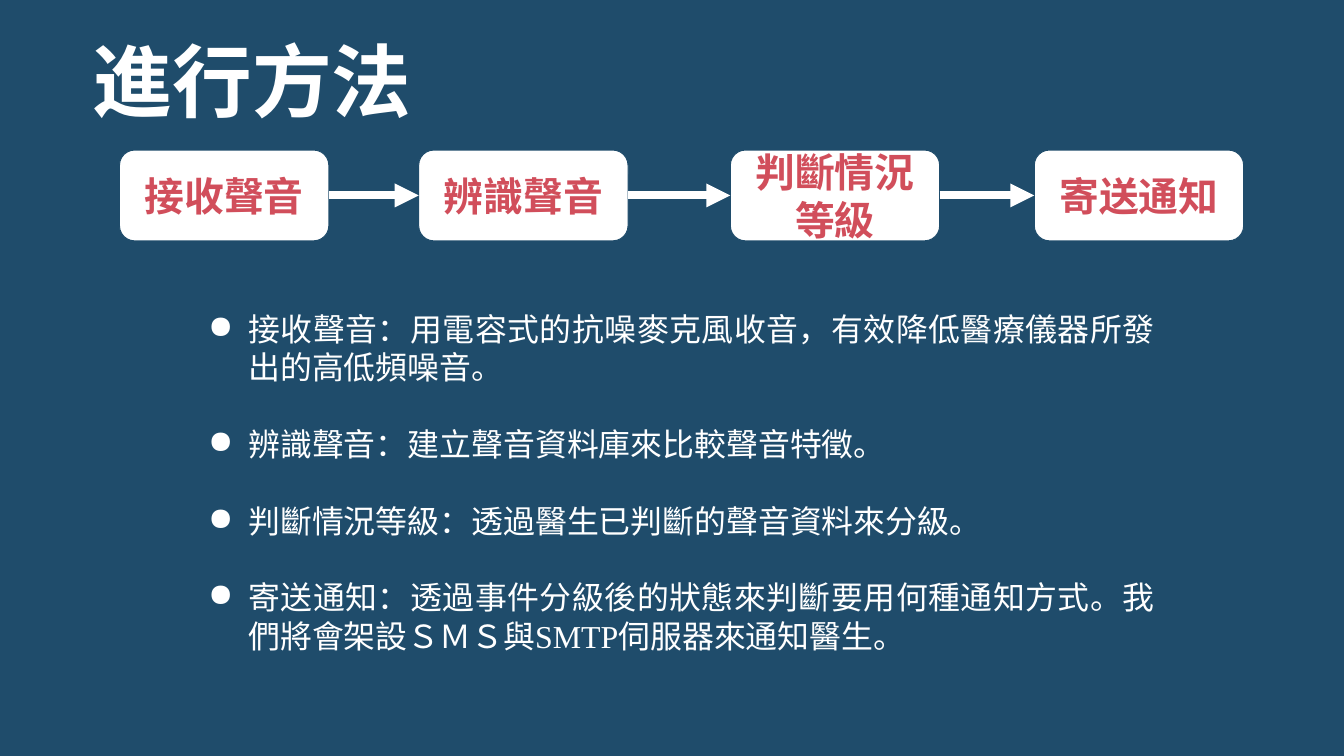
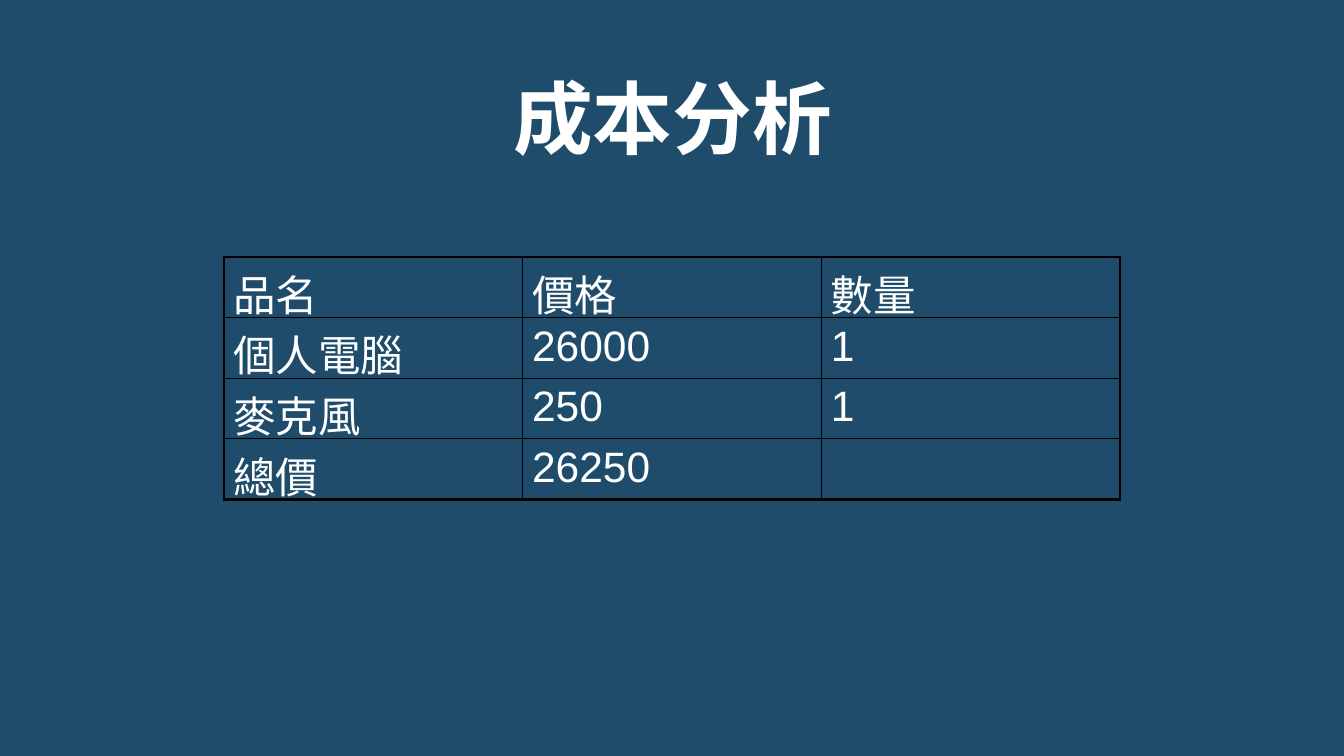
from lxml import etree
from pptx import Presentation
from pptx.dml.color import RGBColor
from pptx.enum.shapes import MSO_CONNECTOR, MSO_SHAPE
from pptx.enum.text import MSO_ANCHOR, PP_ALIGN
from pptx.oxml.ns import qn
from pptx.util import Inches, Pt

NAVY = RGBColor(0x1F, 0x4C, 0x6B)
WHITE = RGBColor(0xFF, 0xFF, 0xFF)
RED = RGBColor(0xD1, 0x4E, 0x5B)
BLACK = RGBColor(0, 0, 0)

STEP = MSO_SHAPE.FLOWCHART_ALTERNATE_PROCESS
LINE = MSO_CONNECTOR.STRAIGHT
LEFT, MID, JUST = PP_ALIGN.LEFT, PP_ALIGN.CENTER, PP_ALIGN.JUSTIFY
TOP, HALF = MSO_ANCHOR.TOP, MSO_ANCHOR.MIDDLE

STEPS = [(1.25, "接收聲音"), (4.38, "辨識聲音"),
         (7.64, "判斷情況等級"), (10.82, "寄送通知")]
NOTES = [
    "接收聲音：用電容式的抗噪麥克風收音，有效降低醫療儀器所發出的高低頻噪音。",
    "辨識聲音：建立聲音資料庫來比較聲音特徵。",
    "判斷情況等級：透過醫生已判斷的聲音資料來分級。",
    "寄送通知：透過事件分級後的狀態來判斷要用何種通知方式。"
    "我們將會架設ＳＭＳ與SMTP伺服器來通知醫生。",
]
COSTS = [("品名", "價格", "數量"), ("個人電腦", "26000", "1"),
         ("麥克風", "250", "1"), ("總價", "26250", "")]


def add_xml(parent, tag, **attrs):
    return etree.SubElement(parent, qn(tag), attrs)


def add_run(para, text, size, font="Arial", color=WHITE, bold=False):
    run = para.add_run()
    run.text = text
    run.font.size = Pt(size)
    run.font.name = font
    run.font.color.rgb = color
    run.font.bold = bold


def set_frame(frame, inset, anchor):
    frame.word_wrap = True
    frame.vertical_anchor = anchor
    frame.margin_left = frame.margin_right = Inches(inset)
    frame.margin_top = frame.margin_bottom = Inches(inset)


def add_box(slide, area, inset=0.1, anchor=TOP):
    box = slide.shapes.add_textbox(*map(Inches, area))
    set_frame(box.text_frame, inset, anchor)
    return box.text_frame


def add_title(slide, text, area, font, align, inset, anchor):
    para = add_box(slide, area, inset, anchor).paragraphs[0]
    para.alignment = align
    add_run(para, text, 60, font, bold=True)


def add_step(slide, left, text):
    step = slide.shapes.add_shape(
        STEP, Inches(left), Inches(1.57), Inches(2.19), Inches(0.95))
    step.shadow.inherit = False
    step.fill.solid()
    step.fill.fore_color.rgb = WHITE
    step.line.color.rgb = NAVY
    step.line.width = Pt(0.75)
    set_frame(step.text_frame, 0.1, HALF)
    para = step.text_frame.paragraphs[0]
    para.alignment = MID
    add_run(para, text, 30, color=RED, bold=True)
    return step


def add_arrow(slide, start, end):
    arrow = slide.shapes.add_connector(LINE, 0, 0, 0, 0)
    arrow.begin_connect(start, 3)
    arrow.end_connect(end, 1)
    arrow.line.color.rgb = WHITE
    arrow.line.width = Pt(6)
    add_xml(arrow.line._get_or_add_ln(), "a:tailEnd", type="triangle")
    add_xml(arrow._element.spPr, "a:effectLst")


def add_bullets(slide, area, items):
    frame = add_box(slide, area)
    for num, text in enumerate(items):
        para = frame.add_paragraph() if num else frame.paragraphs[0]
        para.alignment = JUST
        para.space_after = Pt(29)
        props = para._p.get_or_add_pPr()
        props.set("marL", str(Inches(1)))
        props.set("indent", str(Inches(-0.42)))
        color = add_xml(props, "a:buClr")
        add_xml(color, "a:srgbClr", val=str(WHITE))
        add_xml(props, "a:buChar", char="●")
        add_run(para, text, 24, "Times New Roman")


def add_border(cell, side, width):
    line = add_xml(cell._tc.get_or_add_tcPr(), "a:ln" + side,
                   w=str(Pt(width)))
    add_xml(add_xml(line, "a:solidFill"), "a:srgbClr", val=str(BLACK))


def add_grid(slide, rows, area):
    """Table with thick outer and thin inner borders."""
    high, wide = len(rows), len(rows[0])
    table = slide.shapes.add_table(high, wide, *map(Inches, area)).table
    table.first_row = table.horz_banding = False
    for r, row in enumerate(rows):
        for c, text in enumerate(row):
            cell = table.cell(r, c)
            edges = {"L": c == 0, "R": c == wide - 1,
                     "T": r == 0, "B": r == high - 1}
            for side, outer in edges.items():
                add_border(cell, side, 2 if outer else 1)
            cell.fill.background()
            if text:
                add_run(cell.text_frame.paragraphs[0], text, 32)


def add_method(slide):
    add_title(slide, "進行方法", (0.97, 0.33, 6.27, 1.01),
              "Arial", LEFT, 0, HALF)
    add_bullets(slide, (1.5, 3.14, 10.68, 3.84), NOTES)
    steps = [add_step(slide, left, text) for left, text in STEPS]
    for start, end in zip(steps, steps[1:]):
        add_arrow(slide, start, end)


def add_cost(slide):
    add_title(slide, "成本分析", (3.64, 0.62, 6.79, 1.21),
              "Calibri", MID, 0.1, TOP)
    add_grid(slide, COSTS, (2.34, 2.69, 9.38, 2.53))


def main():
    prs = Presentation()
    prs.slide_width = Inches(14.06)
    prs.slide_height = Inches(7.91)
    back = prs.slide_master.background.fill
    back.solid()
    back.fore_color.rgb = NAVY
    for build in (add_method, add_cost):
        build(prs.slides.add_slide(prs.slide_layouts[6]))
    prs.save("out.pptx")


if __name__ == "__main__":
    main()
